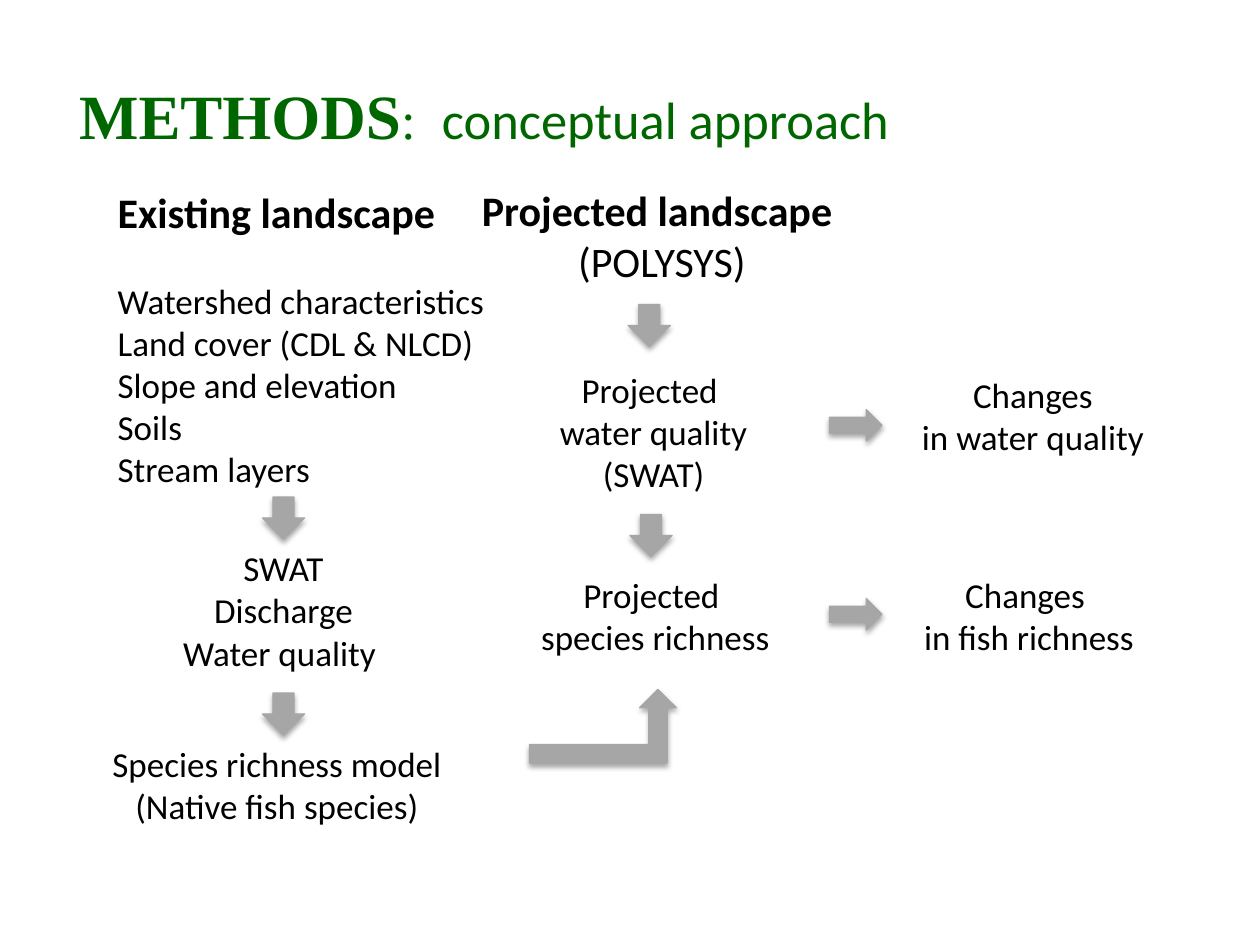
import pptx
import pptx.dml.color
import pptx.enum.shapes
import pptx.enum.text
import pptx.oxml
import pptx.oxml.ns
import pptx.util

Pt = pptx.util.Pt
ALIGN = pptx.enum.text.PP_ALIGN
AUTO = pptx.enum.text.MSO_AUTO_SIZE
SHAPE = pptx.enum.shapes.MSO_SHAPE
GREEN, BLACK, GRAY = "006600", "000000", "A6A6A6"
SHADOW = (
    f'<a:effectLst {pptx.oxml.ns.nsdecls("a")}>'
    f'<a:outerShdw blurRad="{Pt(3.1)}" dist="{Pt(1.8)}" dir="5400000" rotWithShape="0">'
    '<a:srgbClr val="000000"><a:alpha val="35000"/></a:srgbClr>'
    '</a:outerShdw></a:effectLst>'
)


def color(value):
    return pptx.dml.color.RGBColor.from_string(value)


def write(para, text, size=20, bold=False, font="Calibri", ink=BLACK):
    span = para.add_run()
    span.text = text
    span.font.size = Pt(size)
    span.font.bold = bold
    span.font.name = font
    span.font.color.rgb = color(ink)


deck = pptx.Presentation()
deck.slide_width, deck.slide_height = Pt(720), Pt(540)
page = deck.slides.add_slide(deck.slide_layouts[1])

# Title
title = page.shapes.title
title.left, title.top, title.width, title.height = Pt(38), Pt(36), Pt(608), Pt(40)
frame = title.text_frame
frame.auto_size = AUTO.NONE
frame.vertical_anchor = pptx.enum.text.MSO_ANCHOR.TOP
frame.margin_top = Pt(8)
para = frame.paragraphs[0]
para.alignment = ALIGN.LEFT
write(para, "METHODS", size=36, bold=True, font="Times New Roman", ink=GREEN)
write(para, ":  ", size=30, font="Times New Roman", ink=GREEN)
write(para, "conceptual approach", size=30, ink=GREEN)

# Existing landscape: heading and its inputs
body = page.placeholders[1]
body.left, body.top, body.width, body.height = Pt(60), Pt(103), Pt(227), Pt(221)
frame = body.text_frame
frame.word_wrap = False
frame.auto_size = AUTO.SHAPE_TO_FIT_TEXT
inputs = ["Existing landscape", "Watershed characteristics", "Land cover (CDL & NLCD)",
          "Slope and elevation", "Soils", "Stream layers"]
for index, text in enumerate(inputs):
    para = frame.add_paragraph() if index else frame.paragraphs[0]
    props = para._p.get_or_add_pPr()
    props.set("marL", "0")
    props.set("indent", "0")
    props.append(pptx.oxml.parse_xml(f'<a:buNone {pptx.oxml.ns.nsdecls("a")}/>'))
    para.space_before = Pt(24.4 if index == 1 else 0)
    write(para, text, size=20 if index else 24, bold=index == 0)

# Steps of the approach: left, top, width, height, lines
steps = [
    (268, 102, 215, 65, ["Projected landscape", " (POLYSYS)"]),
    (312.5, 207, 122, 79, ["Projected ", "water quality", "(SWAT)"]),
    (97, 309, 130, 79, ["SWAT", "Discharge", "Water quality "]),
    (56, 420.5, 204.5, 55.5, ["Species richness model", "(Native fish species)"]),
    (301, 324, 147, 55.5, ["Projected ", "species richness"]),
    (519, 210, 147, 55.5, ["Changes ", "in water quality "]),
    (515.5, 324, 140.5, 55.5, ["Changes", " in fish richness"]),
]
for left, top, width, height, lines in steps:
    box = page.shapes.add_textbox(Pt(left), Pt(top), Pt(width), Pt(height))
    frame = box.text_frame
    frame.word_wrap = False
    frame.auto_size = AUTO.SHAPE_TO_FIT_TEXT
    heading = lines[0] == "Projected landscape"
    for index, text in enumerate(lines):
        para = frame.add_paragraph() if index else frame.paragraphs[0]
        para.alignment = ALIGN.CENTER
        write(para, text, size=24 if heading else 20, bold=heading and index == 0)

# Block arrows between the steps
arrows = [
    (SHAPE.DOWN_ARROW, 24, 24, [(150, 284), (359, 174), (150, 396), (360, 294)]),
    (SHAPE.BENT_UP_ARROW, 84, 42, [(302.5, 394)]),
    (SHAPE.RIGHT_ARROW, 30, 18, [(474, 234), (474, 342)]),
]
for kind, width, height, places in arrows:
    for left, top in places:
        arrow = page.shapes.add_shape(kind, Pt(left), Pt(top), Pt(width), Pt(height))
        arrow.fill.solid()
        arrow.fill.fore_color.rgb = color(GRAY)
        arrow.line.color.rgb = color(GRAY)
        arrow.line.width = Pt(0.75)
        arrow._element.spPr.append(pptx.oxml.parse_xml(SHADOW))

deck.save("out.pptx")
